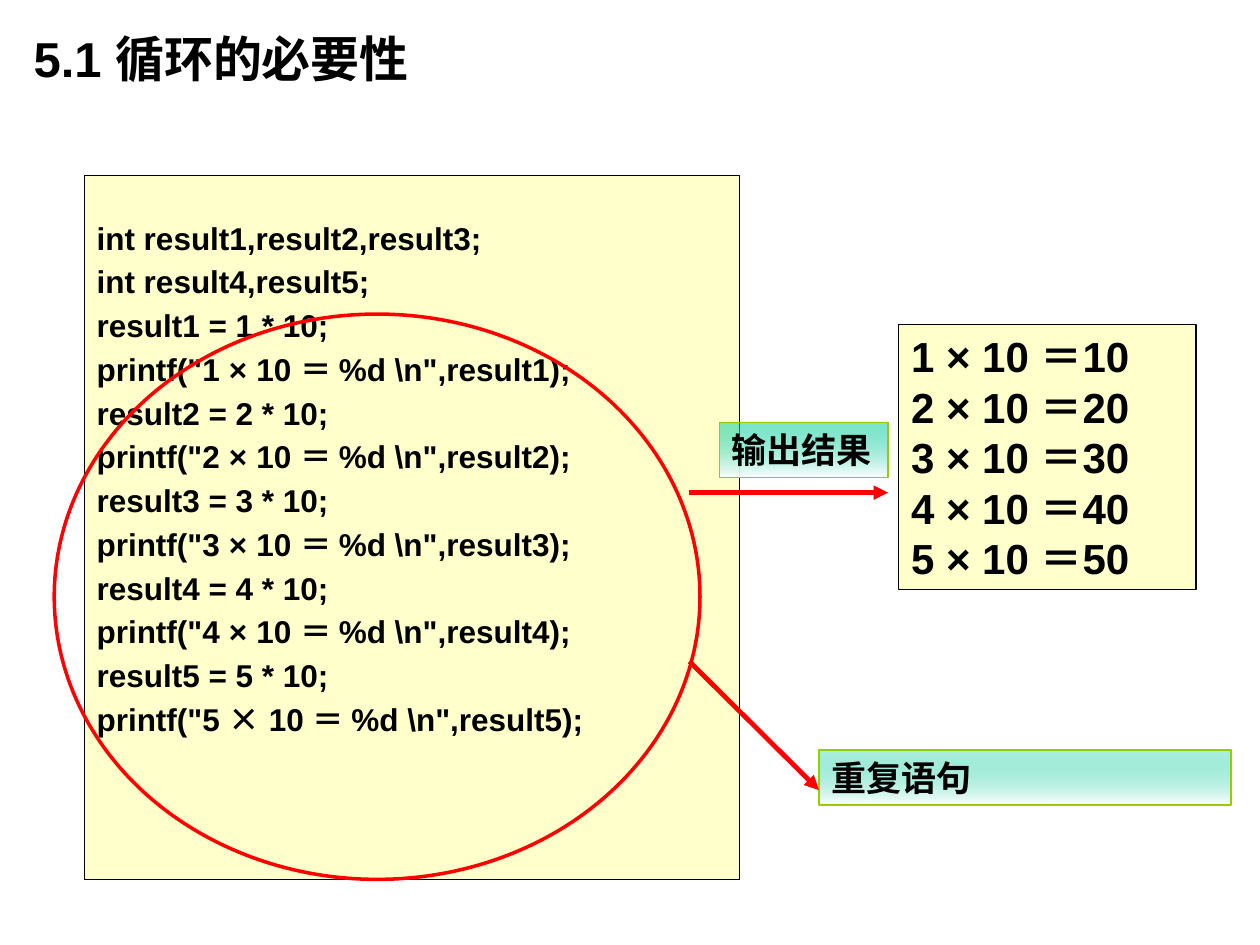
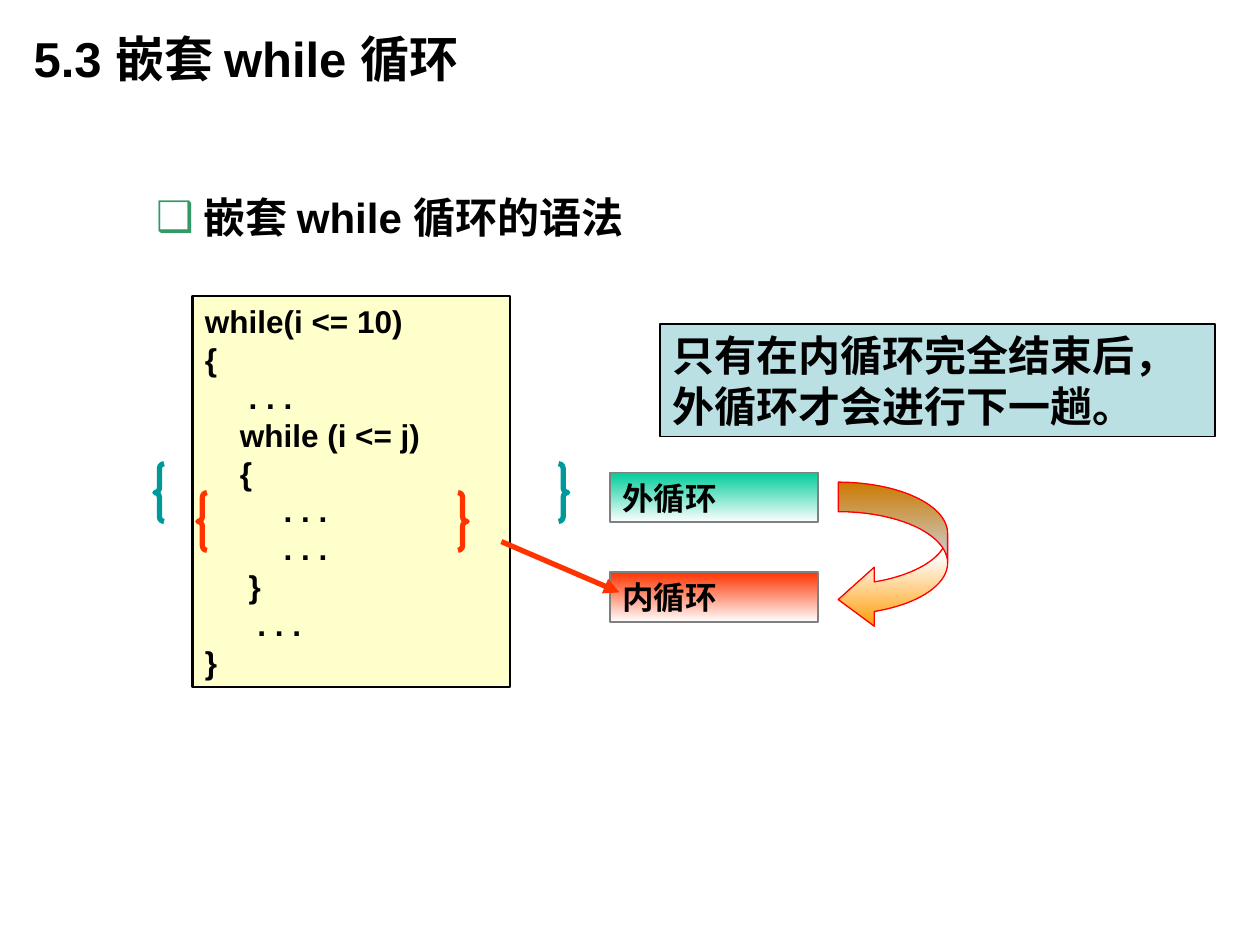
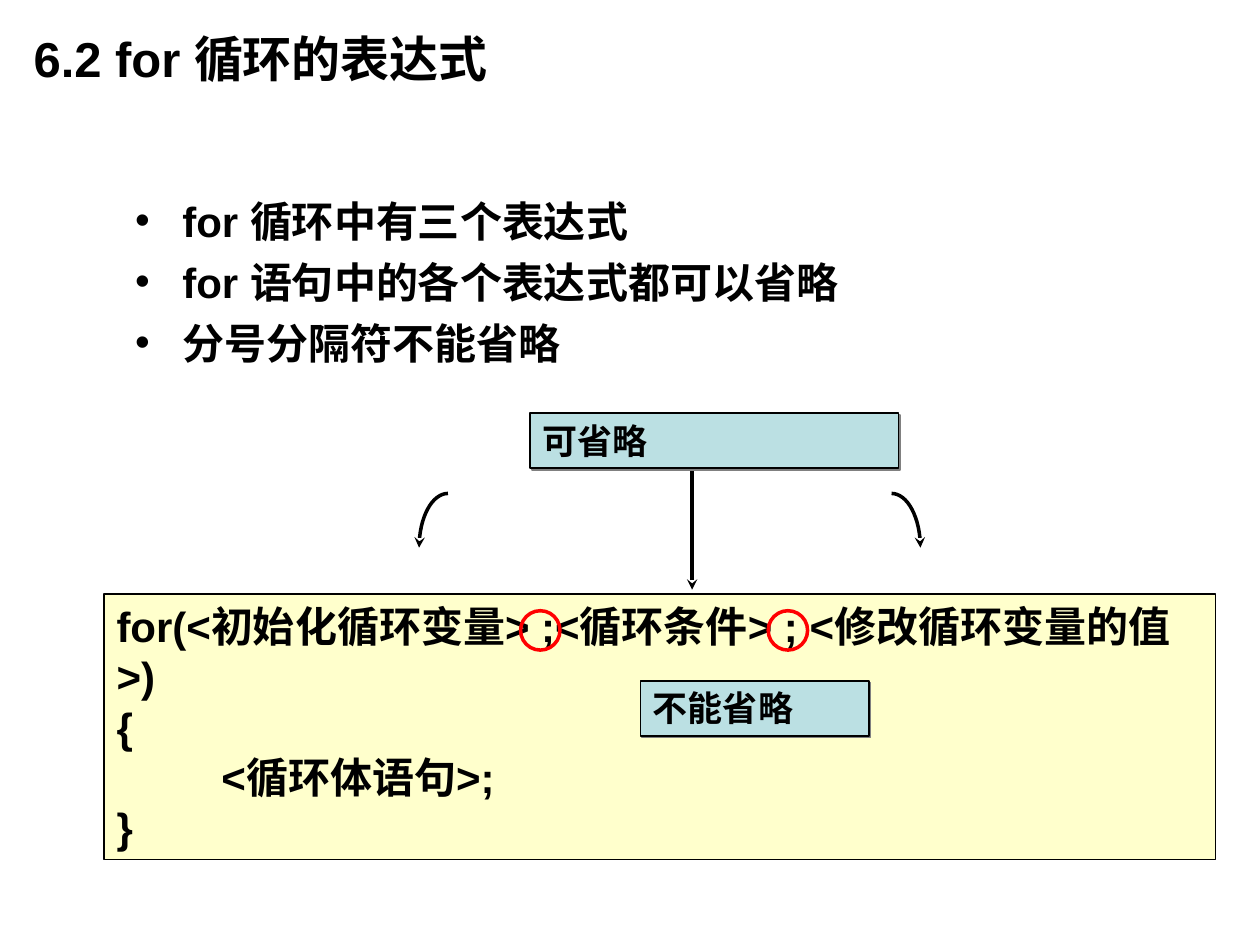
import math
from dataclasses import dataclass
from typing import Optional, Union

import lxml.etree
import pptx
import pptx.dml.color
import pptx.enum.shapes
import pptx.enum.text
import pptx.oxml.ns
import pptx.util

Pt = pptx.util.Pt
qn = pptx.oxml.ns.qn
SHAPES = pptx.enum.shapes.MSO_SHAPE
ANCHOR = pptx.enum.text.MSO_ANCHOR

COLORS = {
    "black": "000000", "white": "FFFFFF", "code": "FFFFCC", "note": "BBE0E3",
    "red": "FF0000", "inner": "FF3300", "outer": "009999", "green": "00CC99",
    "lime": "99CC00", "gray": "808080", "orange": "FF9900", "bullet": "339966",
}
LATIN, MONO, CJK = "Arial", "Courier New", "Noto Sans CJK SC"
LEADING = 1.2
HANGING = 27


@dataclass(frozen=True)
class Frame:
    left: float
    top: float
    width: float
    height: float


@dataclass(frozen=True)
class Stop:
    position: int
    color: str
    opacity: int = 100


@dataclass(frozen=True)
class Outline:
    color: str
    width: float


@dataclass(frozen=True)
class Box:
    frame: Frame
    text: str
    size: float
    fill: Union[str, list[Stop]]
    outline: Outline
    font: str = LATIN
    anchor: ANCHOR = ANCHOR.TOP
    shadow: bool = False


@dataclass(frozen=True)
class Arrow:
    start: tuple[float, float]
    end: tuple[float, float]
    outline: Outline
    head: str = "triangle"


def rgb(name: str) -> pptx.dml.color.RGBColor:
    return pptx.dml.color.RGBColor.from_string(COLORS[name])


def add_element(parent, tag: str, **attributes):
    names = {name: str(value) for name, value in attributes.items()}
    return lxml.etree.SubElement(parent, qn(tag), names)


def format_span(span, size: float, font: str = LATIN) -> None:
    span.font.size = Pt(size)
    span.font.bold = True
    span.font.color.rgb = rgb("black")
    span.font.name = font
    add_element(span._r.get_or_add_rPr(), "a:ea", typeface=CJK)


def write_text(shape, text: str, size: float, font: str = LATIN,
               anchor: ANCHOR = ANCHOR.TOP, gap: float = 0,
               leading: float = LEADING) -> None:
    frame = shape.text_frame
    frame.text = text
    frame.word_wrap = True
    frame.auto_size = pptx.enum.text.MSO_AUTO_SIZE.NONE
    frame.vertical_anchor = anchor
    frame.margin_left = frame.margin_right = Pt(7.2)
    frame.margin_top = frame.margin_bottom = Pt(3.6)
    for index, para in enumerate(frame.paragraphs):
        para.alignment = pptx.enum.text.PP_ALIGN.LEFT
        para.line_spacing = Pt(round(size * leading, 1))
        para.space_before = Pt(gap if index else 0)
        for span in para.runs:
            format_span(span, size, font)


def place(shape, frame: Frame) -> None:
    shape.left, shape.top = Pt(frame.left), Pt(frame.top)
    shape.width, shape.height = Pt(frame.width), Pt(frame.height)


def set_bullets(body, mark: Optional[str], color: str = "black") -> None:
    """Give every paragraph the mark with a hanging indent, or no bullet."""
    for para in body.text_frame.paragraphs:
        props = para._p.get_or_add_pPr()
        props.set("marL", str(Pt(HANGING)))
        props.set("indent", str(-Pt(HANGING)))
        if mark is None:
            add_element(props, "a:buNone")
            continue
        add_element(add_element(props, "a:buClr"), "a:srgbClr", val=COLORS[color])
        add_element(props, "a:buFont", typeface=LATIN)
        add_element(props, "a:buChar", char=mark)


def set_line(line, outline: Outline) -> None:
    line.color.rgb = rgb(outline.color)
    line.width = Pt(outline.width)


def set_head(shape, head: str) -> None:
    add_element(shape.line._get_or_add_ln(), "a:tailEnd", type=head)


def set_gradient(shape, stops: list[Stop]) -> None:
    """Fill the shape from top to bottom."""
    shape.fill.gradient()
    shape.fill.gradient_angle = 270
    stop_list = shape._element.spPr.find(f".//{qn('a:gsLst')}")
    for old in list(stop_list):
        stop_list.remove(old)
    for stop in stops:
        entry = add_element(stop_list, "a:gs", pos=stop.position * 1000)
        color = add_element(entry, "a:srgbClr", val=COLORS[stop.color])
        if stop.opacity < 100:
            add_element(color, "a:alpha", val=stop.opacity * 1000)


def set_fill(shape, fill: Union[str, list[Stop], None]) -> None:
    if fill is None:
        shape.fill.background()
    elif isinstance(fill, str):
        shape.fill.solid()
        shape.fill.fore_color.rgb = rgb(fill)
    else:
        set_gradient(shape, fill)


def add_figure(page, kind, frame: Frame, outline: Outline, fill=None):
    shape = page.shapes.add_shape(kind, 0, 0, 0, 0)
    place(shape, frame)
    shape.shadow.inherit = False
    set_fill(shape, fill)
    set_line(shape.line, outline)
    return shape


def add_box(page, box: Box) -> None:
    shape = add_figure(page, SHAPES.RECTANGLE, box.frame, box.outline, box.fill)
    write_text(shape, box.text, box.size, box.font, box.anchor)
    if box.shadow:
        effects = shape._element.spPr.find(qn("a:effectLst"))
        shade = add_element(effects, "a:outerShdw", dist=Pt(1.4), dir=45 * 60000,
                            algn="ctr", rotWithShape=0)
        add_element(shade, "a:srgbClr", val=COLORS["gray"])


def add_arrow(page, arrow: Arrow) -> None:
    line = page.shapes.add_connector(
        pptx.enum.shapes.MSO_CONNECTOR.STRAIGHT,
        *(Pt(value) for value in arrow.start + arrow.end))
    set_line(line.line, arrow.outline)
    set_head(line, arrow.head)
    add_element(line._element.spPr, "a:effectLst")


def add_quarter_arrow(page, start: tuple[float, float], reach: float,
                      drop: float, outline: Outline) -> None:
    """Draw a quarter ellipse that leaves sideways and ends pointing down."""
    left, top = start
    steps = 16
    angles = [math.pi / 2 * step / steps for step in range(1, steps + 1)]
    points = [(Pt(left + reach * math.sin(angle)),
               Pt(top + drop * (1 - math.cos(angle)))) for angle in angles]
    builder = page.shapes.build_freeform(Pt(left), Pt(top))
    builder.add_line_segments(points, close=False)
    curve = builder.convert_to_shape()
    curve.shadow.inherit = False
    curve.fill.background()
    set_line(curve.line, outline)
    set_head(curve, "stealth")


def add_page(deck, title: str, body_frame: Frame):
    """Add a page with its title and return it with its body placeholder."""
    page = deck.slides.add_slide(deck.slide_layouts[1])
    place(page.shapes.title, Frame(12, 0, 540, 66))
    write_text(page.shapes.title, title, 28, anchor=ANCHOR.MIDDLE)
    body = page.placeholders[1]
    place(body, body_frame)
    return page, body


def set_symbol_font(para, size: float, font: str) -> None:
    """Set the multiplication and equals signs of a line in their own font."""
    pieces = para.text.replace("×", "|×|").replace("＝ ", "|＝ |").split("|")
    para.text = ""
    for index, piece in enumerate(pieces):
        span = para.add_run()
        span.text = piece
        format_span(span, size, font if index % 2 else LATIN)


def build_need_page(deck) -> None:
    page, body = add_page(deck, "5.1 循环的必要性", Frame(48, 100, 374.5, 402.5))
    numbers = range(1, 6)
    code = ["int result1,result2,result3;", "int result4,result5;"]
    for number in numbers:
        code += [f"result{number} = {number} * 10;",
                 f'printf("{number} × 10 ＝ %d \\n",result{number});']
    write_text(body, "\n".join(code), 18, gap=4.5, leading=1.14)
    body.text_frame.margin_top = Pt(26)
    set_bullets(body, None)
    set_fill(body, "code")
    set_line(body.line, Outline("black", 0.25))
    printed = [para for para in body.text_frame.paragraphs if "×" in para.text]
    for para in printed:
        set_symbol_font(para, 18, CJK if para is printed[-1] else MONO)

    results = "\n".join(f"{number} × 10 ＝{number * 10}" for number in numbers)
    lime = Outline("lime", 0.75)
    add_box(page, Box(Frame(513.5, 185.5, 170, 151.5), results, 24, "code",
                      Outline("black", 0.75)))
    add_box(page, Box(Frame(411, 241.5, 96.5, 31.5), "输出结果", 20,
                      [Stop(0, "green", 51), Stop(100, "white")], lime))
    add_figure(page, SHAPES.OVAL, Frame(31, 179.5, 369, 323), Outline("red", 2))
    add_arrow(page, Arrow((399.5, 366.5), (399.5, 366.5), Outline("black", 0.75)))
    add_box(page, Box(Frame(468, 428.5, 235.5, 31.5), "重复语句", 20,
                      [Stop(0, "green", 31), Stop(100, "white")], lime))
    red = Outline("red", 2.75)
    add_arrow(page, Arrow((394, 378), (468, 451.5), red))
    add_arrow(page, Arrow((394, 281.5), (507.5, 281.5), red))


def build_nested_page(deck) -> None:
    page, body = add_page(deck, "5.3 嵌套 while 循环", Frame(82, 106, 499, 36))
    write_text(body, "嵌套 while 循环的语法", 24)
    set_bullets(body, "❑", "bullet")

    code = """while(i <= 10)
{
     . . .
    while (i <= j)
    {
         . . .
         . . .
     }
      . . .
}"""
    add_box(page, Box(Frame(110, 169, 181.5, 223.5), code, 18, "code",
                      Outline("black", 1.25), anchor=ANCHOR.MIDDLE))
    loops = [("外循环", Frame(88.5, 265, 236, 33), "outer", "green", 270),
             ("内循环", Frame(113, 281.5, 154, 33), "inner", "inner", 327)]
    for name, braces, brace_color, label_color, label_top in loops:
        pair = add_figure(page, SHAPES.DOUBLE_BRACE, braces, Outline(brace_color, 3))
        pair.adjustments[0] = 0.08
        add_box(page, Box(Frame(348.5, label_top, 119, 28.5), name, 18,
                          [Stop(0, label_color), Stop(100, "white")],
                          Outline("gray", 1)))
    turn = add_figure(page, SHAPES.CURVED_LEFT_ARROW, Frame(479, 275.5, 62.5, 84),
                      Outline("red", 0.75),
                      [Stop(0, "orange"), Stop(50, "white"), Stop(100, "orange")])
    for index, value in enumerate((0.27, 0.54, 0.33)):
        turn.adjustments[index] = value
    add_box(page, Box(Frame(377, 185, 317.5, 64.5),
                      "只有在内循环完全结束后，外循环才会进行下一趟。", 24, "note",
                      Outline("black", 1)))
    add_arrow(page, Arrow((286.5, 309.5), (354, 338.5), Outline("inner", 3)))


def build_for_page(deck) -> None:
    page, body = add_page(deck, "6.2 for 循环的表达式", Frame(70, 108, 589, 154))
    points = ["for 循环中有三个表达式", "for 语句中的各个表达式都可以省略",
              "分号分隔符不能省略"]
    write_text(body, "\n".join(points), 24, gap=6)
    set_bullets(body, "•")

    code = """for(<初始化循环变量> ;<循环条件> ; <修改循环变量的值>)
{
         <循环体语句>;
}"""
    add_box(page, Box(Frame(59.5, 339.5, 635, 151.5), code, 24, "code",
                      Outline("black", 0.75)))
    black = Outline("black", 2)
    for left, reach in ((256, -16.5), (509.5, 16.5)):
        add_quarter_arrow(page, (left, 282), reach, 31, black)
    add_arrow(page, Arrow((395.5, 259), (395.5, 337), black, "stealth"))
    for left in (297.5, 439):
        add_figure(page, SHAPES.OVAL, Frame(left, 349, 22.5, 22.5), Outline("red", 2))
    notes = [("可省略", Frame(303, 236, 210.5, 31.5)),
             ("不能省略", Frame(366, 389, 130.5, 31.5))]
    for text, frame in notes:
        add_box(page, Box(frame, text, 20, "note", Outline("black", 1), MONO,
                          shadow=True))


def main() -> None:
    deck = pptx.Presentation()
    deck.slide_width, deck.slide_height = Pt(720), Pt(540)
    build_need_page(deck)
    build_nested_page(deck)
    build_for_page(deck)
    deck.save("out.pptx")


if __name__ == "__main__":
    main()
